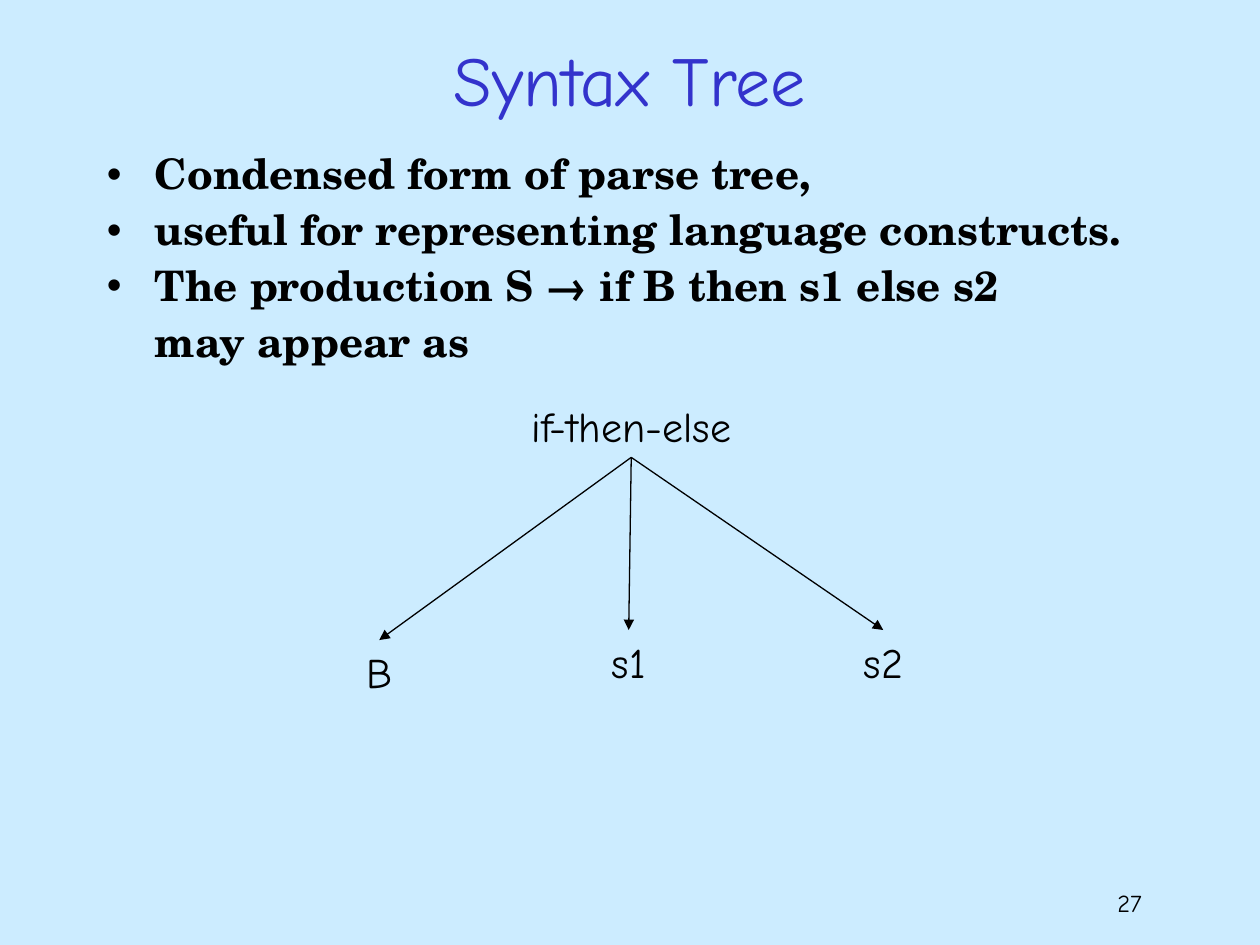
from lxml.etree import SubElement
from pptx import Presentation
from pptx.dml.color import RGBColor
from pptx.enum.shapes import MSO_CONNECTOR
from pptx.enum.text import MSO_ANCHOR, PP_ALIGN
from pptx.oxml.ns import qn
from pptx.util import Inches, Pt

BLACK = "000000"
TITLE = "Syntax Tree"
PAGE_NUMBER = "27"
BODY = [
    ("Condensed form of parse tree,", True),
    ("useful for representing language constructs.", True),
    ("The production S → if B then s1 else s2", True),
    ("may appear as", False),
]
ROOT = ("if-then-else", 5.01, 3.13, 1.81)
LEAVES = [("s1", 4.99, 5, 0.47), ("B", 3.01, 5.08, 0.4), ("s2", 7.01, 5, 0.51)]
NODE_HEIGHT = 0.5
HANGING = 0.38

TITLE_FONT = {"name": "Comic Neue", "size": Pt(40)}
BODY_FONT = {"name": "TeX Gyre Schola", "size": Pt(24), "bold": True}
NODE_FONT = {"name": "Comic Neue", "size": Pt(24)}
NUMBER_FONT = {"name": "Comic Neue", "size": Pt(14)}


def color(value):
    return RGBColor.from_string(value)


def style(para, font, value=BLACK):
    for key, setting in font.items():
        setattr(para.font, key, setting)
    para.font.color.rgb = color(value)


def add_frame(page, left, top, width, height, wrap=True):
    box = page.shapes.add_textbox(*map(Inches, (left, top, width, height)))
    box.text_frame.word_wrap = wrap
    return box.text_frame


def add_label(page, text, place, font, align=PP_ALIGN.CENTER, value=BLACK, wrap=True):
    frame = add_frame(page, *place, wrap=wrap)
    para = frame.paragraphs[0]
    para.text = text
    para.alignment = align
    style(para, font, value)
    return frame


def add_body(page):
    frame = add_frame(page, 0.75, 1.17, 8.5, 1.92)
    for index, (text, bulleted) in enumerate(BODY):
        para = frame.paragraphs[0] if index == 0 else frame.add_paragraph()
        para.text = text
        para.line_spacing = 0.9
        para.space_before = Pt(6 if index else 0)
        properties = para._p.get_or_add_pPr()
        properties.set("marL", str(Inches(HANGING)))
        properties.set("indent", str(Inches(-HANGING if bulleted else 0)))
        if bulleted:
            bullet_color = SubElement(properties, qn("a:buClr"))
            SubElement(bullet_color, qn("a:srgbClr"), val=BLACK)
            SubElement(properties, qn("a:buFont"), typeface="Arial")
            SubElement(properties, qn("a:buChar"), char="•")
        else:
            SubElement(properties, qn("a:buNone"))
        style(para, BODY_FONT)


def add_node(page, text, center, top, width):
    place = (center - width / 2, top, width, NODE_HEIGHT)
    add_label(page, text, place, NODE_FONT, wrap=False)


def add_arrow(page, start, end):
    arrow = page.shapes.add_connector(MSO_CONNECTOR.STRAIGHT, *map(Inches, start + end))
    arrow.line.color.rgb = color(BLACK)
    arrow.line.width = Pt(0.75)
    SubElement(arrow.line._get_or_add_ln(), qn("a:tailEnd"), type="triangle")
    SubElement(arrow._element.spPr, qn("a:effectLst"))


def main():
    deck = Presentation()
    deck.slide_width, deck.slide_height = Inches(10), Inches(7.5)
    page = deck.slides.add_slide(deck.slide_layouts[6])
    page.background.fill.solid()
    page.background.fill.fore_color.rgb = color("CCECFF")

    add_label(page, PAGE_NUMBER, (7.08, 7, 2.08, 0.5), NUMBER_FONT, PP_ALIGN.RIGHT)
    title = add_label(page, TITLE, (0.75, 0, 8.5, 1.25), TITLE_FONT, value="3333CC")
    title.vertical_anchor = MSO_ANCHOR.MIDDLE
    add_body(page)

    for node in [ROOT, *LEAVES]:
        add_node(page, *node)
    root_center, root_top = ROOT[1:3]
    for text, center, top, width in LEAVES:
        add_arrow(page, (root_center, root_top + NODE_HEIGHT), (center, top))

    deck.save("out.pptx")


if __name__ == "__main__":
    main()
